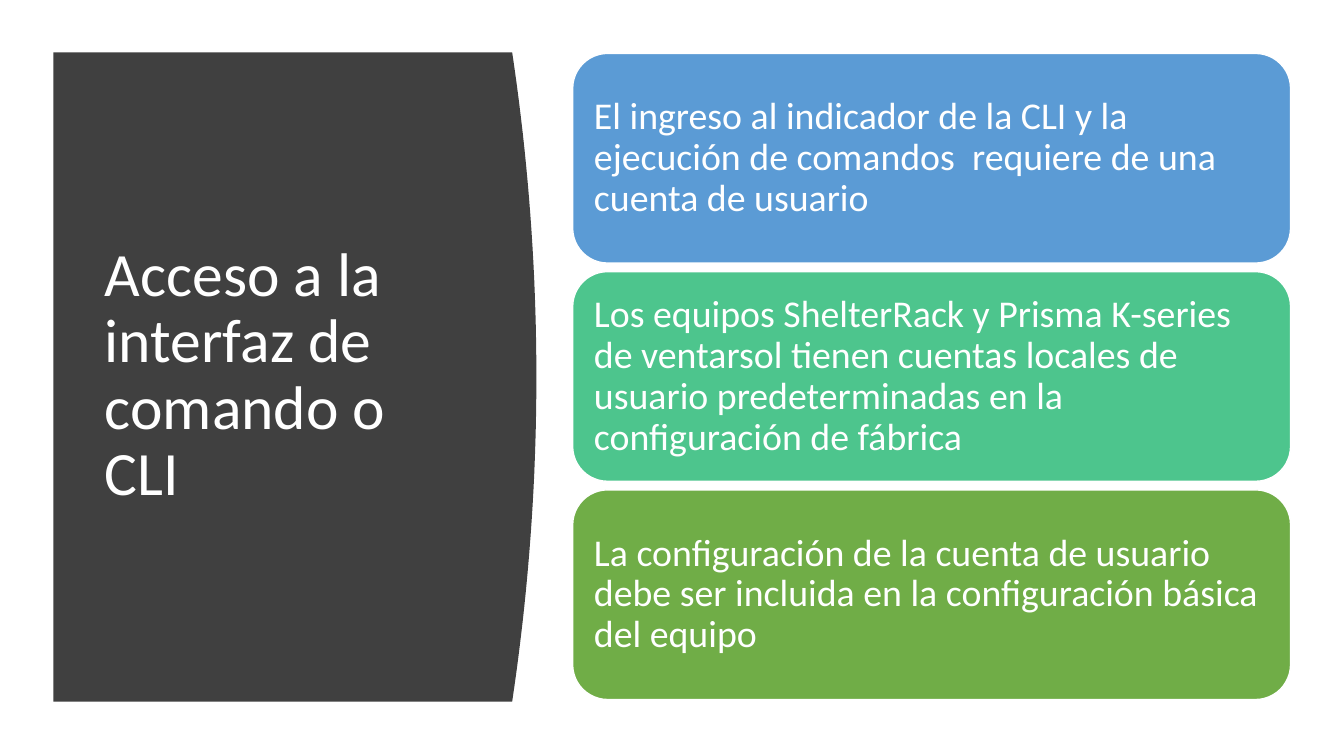
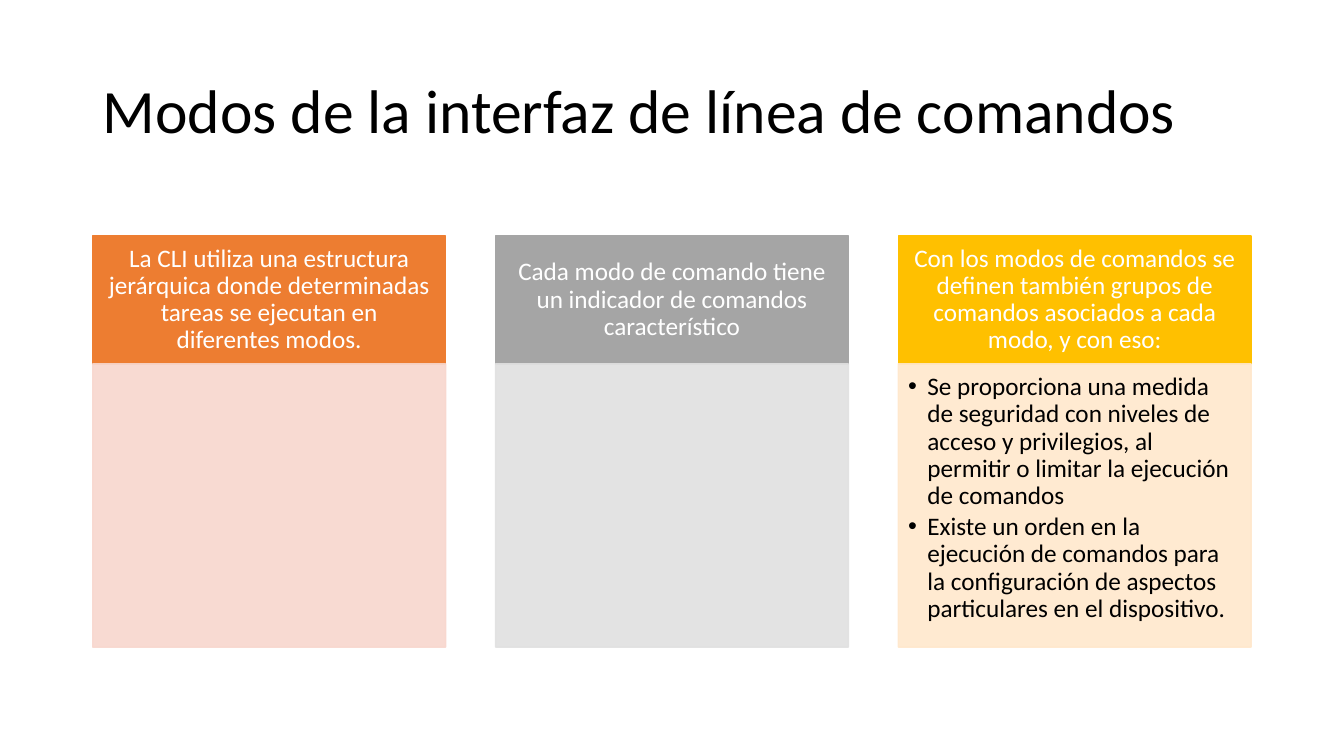
from lxml.etree import SubElement
from pptx import Presentation
from pptx.dml.color import RGBColor
from pptx.enum.shapes import MSO_SHAPE as Shape
from pptx.enum.text import MSO_ANCHOR as Anchor, MSO_AUTO_SIZE as AutoSize, PP_ALIGN as Align
from pptx.oxml.ns import qn
from pptx.util import Inches, Pt

WIDTH, HEIGHT = 13.33, 7.5
FONT = "Calibri"
WHITE, BLACK, CHARCOAL = "FFFFFF", "000000", "404040"

ACCESS_TITLE = "Acceso a la interfaz de comando o CLI"
ACCESS_CARDS = [
    ("5B9BD5", "El ingreso al indicador de la CLI y la ejecución de comandos  requiere de una cuenta de usuario"),
    ("4DC58D", "Los equipos ShelterRack y Prisma K-series de ventarsol tienen cuentas locales de usuario "
               "predeterminadas en la configuración de fábrica"),
    ("70AD47", "La configuración de la cuenta de usuario debe ser incluida en la configuración básica del equipo"),
]
MODES_TITLE = "Modos de la interfaz de línea de comandos"
MODES_COLUMNS = [
    ("ED7D31", "F8D7CE", "La CLI utiliza una estructura jerárquica donde determinadas tareas se ejecutan "
                         "en diferentes modos.", []),
    ("A5A5A5", "E1E1E1", "Cada modo de comando tiene un indicador de comandos característico", []),
    ("FFC000", "FFE8CC", "Con los modos de comandos se definen también grupos de comandos asociados a cada "
                         "modo, y con eso:", [
        "Se proporciona una medida de seguridad con niveles de acceso y privilegios, al permitir o limitar "
        "la ejecución de comandos",
        "Existe un orden en la ejecución de comandos para la configuración de aspectos particulares en el "
        "dispositivo.",
    ]),
]

PANEL = dict(left=0.53, top=0.52, right=5.08, bottom=6.96, bulge=0.24, steps=40)
CARDS = dict(left=5.68, top=0.53, width=7.12, height=2.08, pitch=2.165)
COLUMNS = dict(left=0.92, top=2.34, width=3.5, head=1.27, body=2.81, pitch=3.995)


def color(value):
    return RGBColor.from_string(value)


def paint(shape, fill, line=None, opacity=None):
    shape.shadow.inherit = False
    shape.fill.solid()
    shape.fill.fore_color.rgb = color(fill)
    if line is None:
        shape.line.fill.background()
    else:
        shape.line.color.rgb = color(line)
        shape.line.width = Pt(1)
    if opacity is not None:
        for node in shape._element.spPr.iter(qn("a:srgbClr")):
            SubElement(node, qn("a:alpha"), val=str(opacity * 1000))


def add_bullet(para, indent):
    props = para._p.get_or_add_pPr()
    props.set("marL", str(Inches(indent)))
    props.set("indent", str(-Inches(indent)))
    SubElement(props, qn("a:buFont"), typeface="Arial")
    SubElement(props, qn("a:buChar"), char="•")


def write(shape, texts, size, ink, align=Align.LEFT, anchor=Anchor.MIDDLE,
          insets=(0.1, 0.05, 0.1, 0.05), bullets=False):
    frame = shape.text_frame
    settings = dict(word_wrap=True, auto_size=AutoSize.NONE, vertical_anchor=anchor)
    sides = ("margin_left", "margin_top", "margin_right", "margin_bottom")
    settings.update(zip(sides, map(Inches, insets)))
    for name, value in settings.items():
        setattr(frame, name, value)
    for index, text in enumerate(texts):
        para = frame.add_paragraph() if index else frame.paragraphs[0]
        spacing = Pt(size * 0.15) if bullets else Pt(0)
        layout = dict(alignment=align, line_spacing=0.9, space_before=Pt(0), space_after=spacing)
        for name, value in layout.items():
            setattr(para, name, value)
        if bullets:
            add_bullet(para, 0.19)
        span = para.add_run()
        span.text = text
        for name, value in dict(name=FONT, size=Pt(size)).items():
            setattr(span.font, name, value)
        span.font.color.rgb = color(ink)


def add_page(deck, title, place, ink):
    page = deck.slides.add_slide(deck.slide_layouts[5])
    box = page.shapes.title
    for name, value in zip(("left", "top", "width", "height"), place):
        setattr(box, name, Inches(value))
    write(box, [title], 44, ink)
    return page


def add_box(page, kind, *place):
    return page.shapes.add_shape(kind, *map(Inches, place))


def add_panel(page, left, top, right, bottom, bulge, steps):
    curve = []
    for step in range(steps + 1):
        share = step / steps
        curve.append((Inches(right + bulge * 4 * share * (1 - share)),
                      Inches(top + (bottom - top) * share)))
    outline = page.shapes.build_freeform(Inches(left), Inches(top))
    outline.add_line_segments(curve + [(Inches(left), Inches(bottom))], close=True)
    panel = outline.convert_to_shape()
    paint(panel, CHARCOAL)
    page.shapes.title._element.addprevious(panel._element)


def build_access(deck):
    page = add_page(deck, ACCESS_TITLE, (0.94, 1.11, 3.74, 5.24), WHITE)
    add_panel(page, **PANEL)
    for row, (fill, text) in enumerate(ACCESS_CARDS):
        card = add_box(page, Shape.ROUNDED_RECTANGLE, CARDS["left"],
                       CARDS["top"] + row * CARDS["pitch"], CARDS["width"], CARDS["height"])
        paint(card, fill, WHITE)
        write(card, [text], 27, WHITE, insets=(0.11,) * 4)


def build_modes(deck):
    page = add_page(deck, MODES_TITLE, (0.92, 0.4, 11.5, 1.45), BLACK)
    for column, (strong, pale, heading, points) in enumerate(MODES_COLUMNS):
        left = COLUMNS["left"] + column * COLUMNS["pitch"]
        head = add_box(page, Shape.RECTANGLE, left, COLUMNS["top"], COLUMNS["width"], COLUMNS["head"])
        paint(head, strong, strong)
        write(head, [heading], 18, WHITE, Align.CENTER, insets=(0.14, 0.08, 0.14, 0.08))
        body = add_box(page, Shape.RECTANGLE, left, COLUMNS["top"] + COLUMNS["head"],
                       COLUMNS["width"], COLUMNS["body"])
        paint(body, pale, pale, opacity=90)
        if points:
            write(body, points, 18, BLACK, anchor=Anchor.TOP,
                  insets=(0.1, 0.1, 0.14, 0.16), bullets=True)


deck = Presentation()
deck.slide_width, deck.slide_height = Inches(WIDTH), Inches(HEIGHT)
build_access(deck)
build_modes(deck)
deck.save("out.pptx")
